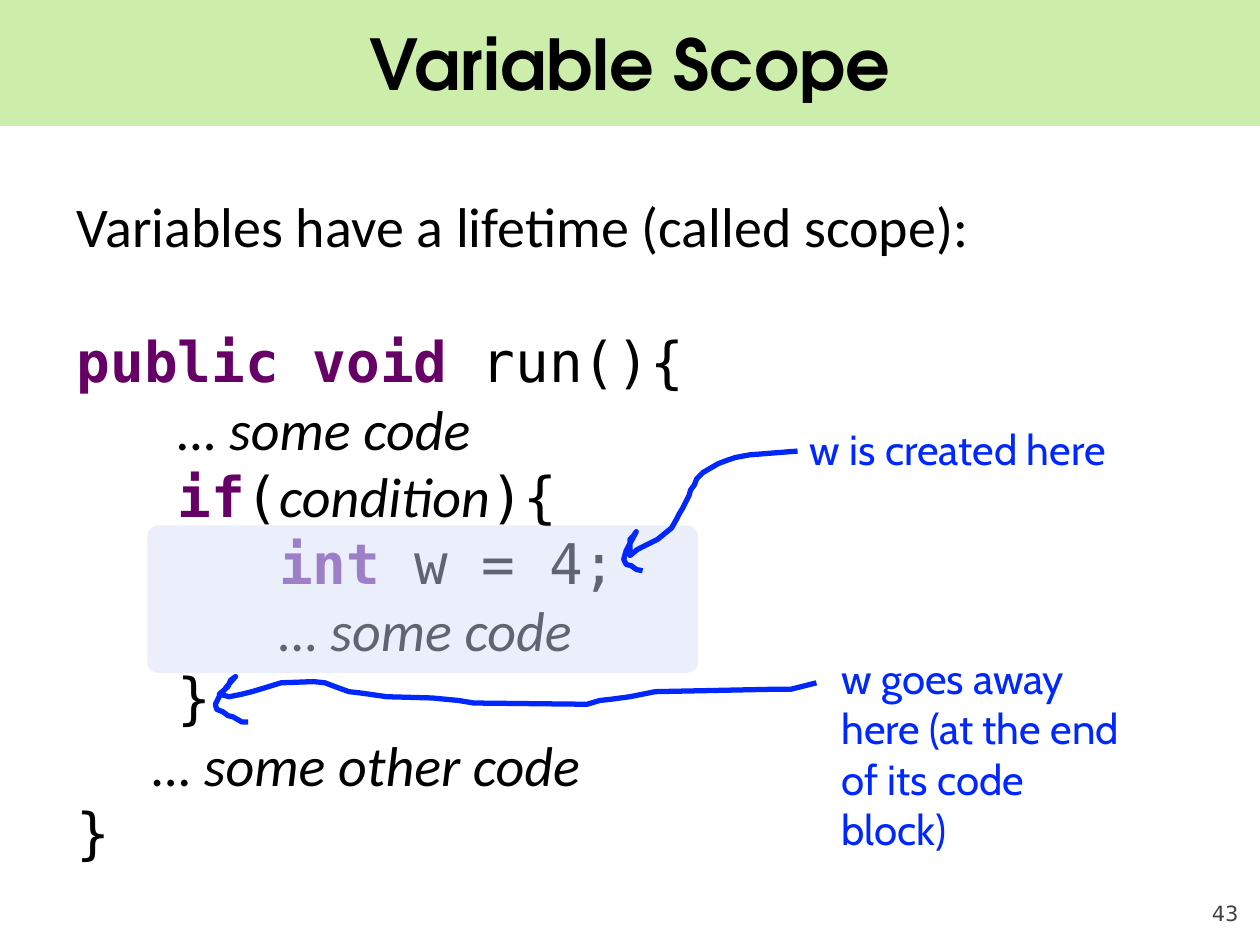
from dataclasses import dataclass

from lxml import etree
from pptx import Presentation
from pptx import util as u
from pptx.dml.color import RGBColor
from pptx.enum import shapes, text
from pptx.oxml import ns


@dataclass(frozen=True)
class Theme:
    band: str = "CDEEAB"
    ink: str = "000000"
    keyword: str = "660066"
    int_type: str = "7030A0"
    scope: str = "D4DDF8"
    note: str = "0027FF"
    number: str = "424242"
    title_font: str = "TeX Gyre Adventor"
    body_font: str = "Calibri"
    code_font: str = "DejaVu Sans Mono"
    note_font: str = "Cabin"
    number_font: str = "DejaVu Sans"
    title_size: int = 40
    body_size: int = 32
    note_size: int = 24
    number_size: int = 12


T = Theme()
GRID = u.Inches(0.01)  # unit of the hand-drawn strokes

# Run styles: font, colour, bold, italic
PLAIN = (T.body_font, T.ink, False, False)
PROSE = (T.body_font, T.ink, False, True)
CODE = (T.code_font, T.ink, False, False)
KEYWORD = (T.code_font, T.keyword, True, False)
INT_TYPE = (T.code_font, T.int_type, True, False)

LINES = [
    [("Variables have a lifetime (called scope):", PLAIN)],
    [("public void ", KEYWORD), ("run(){", CODE)],
    [("   ", KEYWORD), ("… some code", PROSE)],
    [("   if", KEYWORD), ("(", CODE), ("condition", PROSE), ("){", CODE)],
    [("      ", CODE), ("int ", INT_TYPE), ("w = 4;", CODE)],
    [("      ", CODE), ("… some code", PROSE)],
    [("   }", CODE)],
    [("      … some other code", PROSE)],
    [("}", CODE)],
]

CREATED_STROKE = [
    (138, 0), (100, 3), (89, 5), (83, 7), (75, 10), (63, 17), (58, 22),
    (56, 27), (53, 31), (52, 35), (47, 45), (44, 50), (42, 54), (38, 61),
    (27, 70), (23, 72), (19, 74), (15, 76), (11, 78), (5, 83), (5, 70),
    (8, 67), (10, 64), (2, 79), (0, 86), (2, 90), (6, 91), (10, 94), (15, 95),
]
GONE_STROKE = [
    (477, 5), (457, 10), (448, 10), (349, 12), (329, 16), (314, 18),
    (305, 19), (295, 22), (205, 21), (193, 19), (172, 17), (136, 16),
    (122, 14), (115, 13), (106, 12), (95, 8), (87, 5), (78, 4), (52, 5),
    (39, 9), (29, 12), (21, 14), (11, 16), (3, 14), (10, 8), (12, 3),
    (16, 0), (9, 8), (3, 16), (0, 22), (1, 26), (6, 28), (10, 31),
    (14, 32), (21, 36), (26, 36),
]


def inches(*lengths):
    return [u.Inches(n) for n in lengths]


def style(r, size, font, color, bold=False, italic=False):
    r.font.size = u.Pt(size)
    r.font.name = font
    r.font.color.rgb = RGBColor.from_string(color)
    r.font.bold = bold
    r.font.italic = italic


def add_panel(s, box, color, radius):
    sp = s.shapes.add_shape(shapes.MSO_SHAPE.ROUNDED_RECTANGLE, *box)
    sp.adjustments[0] = radius
    sp.shadow.inherit = False
    sp.fill.solid()
    sp.fill.fore_color.rgb = RGBColor.from_string(color)
    sp.line.fill.background()
    return sp


def add_title(s, box, title):
    left, top, width, height = box
    band = add_panel(s, box, T.band, 0.001)
    sp = s.shapes.title
    sp._element.addprevious(band._element)  # band goes behind the title
    margin = u.Inches(0.5)
    sp.left, sp.top = left + margin, top
    sp.width, sp.height = width - 2 * margin, height
    tf = sp.text_frame
    tf.text = title
    tf.vertical_anchor = text.MSO_ANCHOR.MIDDLE
    p = tf.paragraphs[0]
    p.alignment = text.PP_ALIGN.CENTER
    style(p.runs[0], T.title_size, T.title_font, T.ink, bold=True)


def add_code(s, box, lines):
    tf = s.shapes.add_textbox(*box).text_frame
    tf.word_wrap = True
    for i, line in enumerate(lines):
        p = tf.paragraphs[0] if i == 0 else tf.add_paragraph()
        if i == 1:
            p.space_before = u.Pt(39)  # one line between intro and code
        for words, look in line:
            r = p.add_run()
            r.text = words
            style(r, T.body_size, *look)


def add_scope(s, box):
    sp = add_panel(s, box, T.scope, 0.075)
    color = sp._element.spPr.find(".//" + ns.qn("a:srgbClr"))
    etree.SubElement(color, ns.qn("a:alpha"), val="46000")


def add_note(s, box, words, wrap):
    tf = s.shapes.add_textbox(*box).text_frame
    tf.word_wrap = wrap
    tf.text = words
    style(tf.paragraphs[0].runs[0], T.note_size, T.note_font, T.note)


def add_stroke(s, origin, points):
    builder = s.shapes.build_freeform(*points[0], scale=GRID)
    builder.add_line_segments(points[1:], close=False)
    sp = builder.convert_to_shape(*origin)
    sp.shadow.inherit = False
    sp.fill.background()
    sp.line.color.rgb = RGBColor.from_string(T.note)
    sp.line.width = u.Pt(3)
    etree.SubElement(sp.line._get_or_add_ln(), ns.qn("a:round"))


def add_number(s, box, number):
    tf = s.shapes.add_textbox(*box).text_frame
    tf.margin_left = tf.margin_right = tf.margin_top = tf.margin_bottom = 0
    tf.word_wrap = True
    tf.vertical_anchor = text.MSO_ANCHOR.BOTTOM
    tf.text = number
    p = tf.paragraphs[0]
    p.alignment = text.PP_ALIGN.RIGHT
    style(p.runs[0], T.number_size, T.number_font, T.number)


def main():
    prs = Presentation()
    prs.slide_width, prs.slide_height = inches(10, 7.5)
    s = prs.slides.add_slide(prs.slide_layouts[5])

    # Header and page number
    add_title(s, inches(0, 0, 10, 1), "Variable Scope")
    add_number(s, inches(9, 6.95, 0.83, 0.4), "43")

    # Code with the scope of w shaded
    add_code(s, inches(0.51, 1.47, 8.99, 6.56), LINES)
    add_scope(s, inches(1.17, 4.17, 4.37, 1.17))

    # Handwritten notes and arrows
    add_note(s, inches(6.58, 5.13, 2.4, 1.72),
             "w goes away here (at the end of its code block)", True)
    add_note(s, inches(6.33, 3.31, 2.76, 0.5), "w is created here", False)
    add_stroke(s, inches(4.95, 3.58), CREATED_STROKE)
    add_stroke(s, inches(1.71, 5.37), GONE_STROKE)

    prs.save("out.pptx")


if __name__ == "__main__":
    main()
